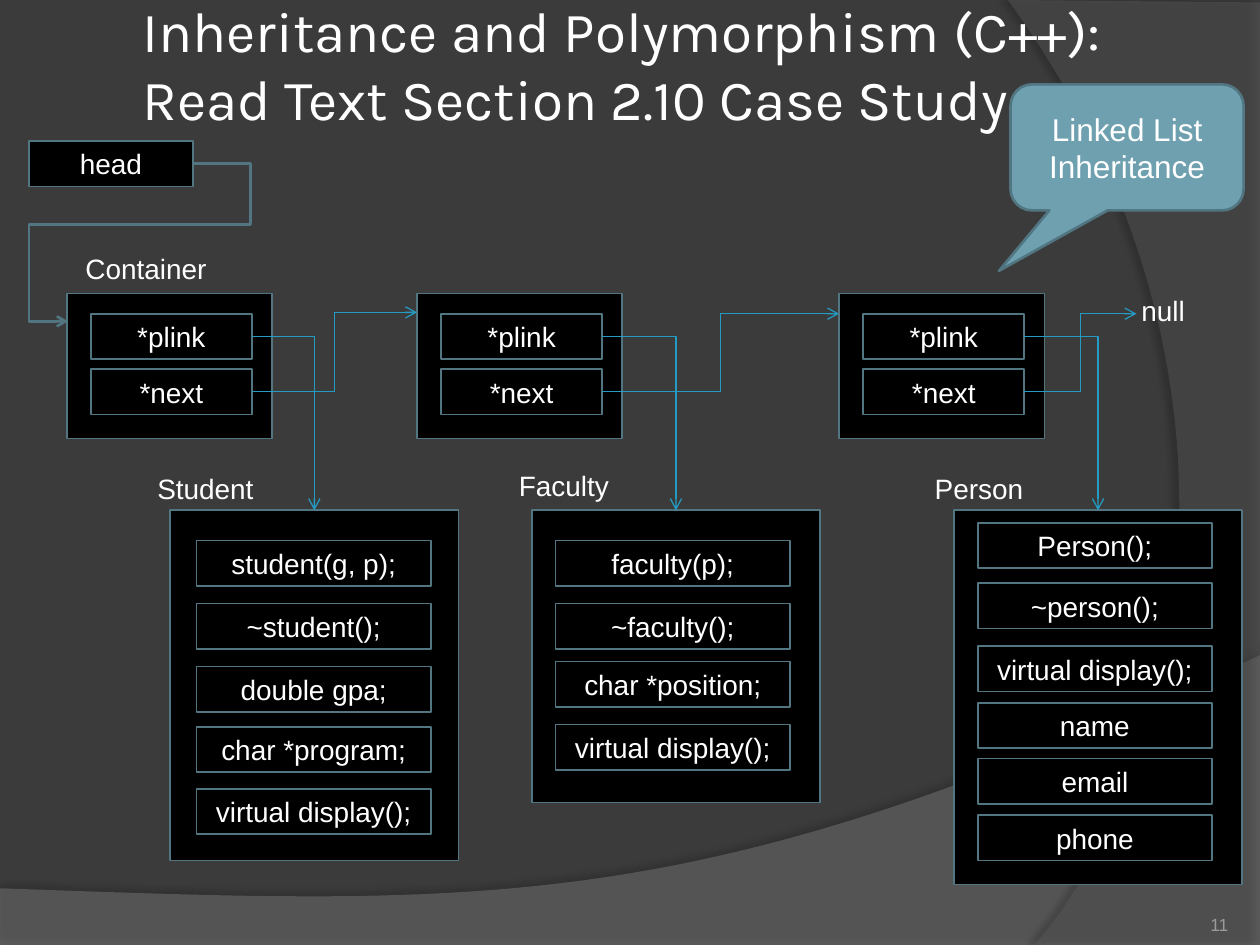
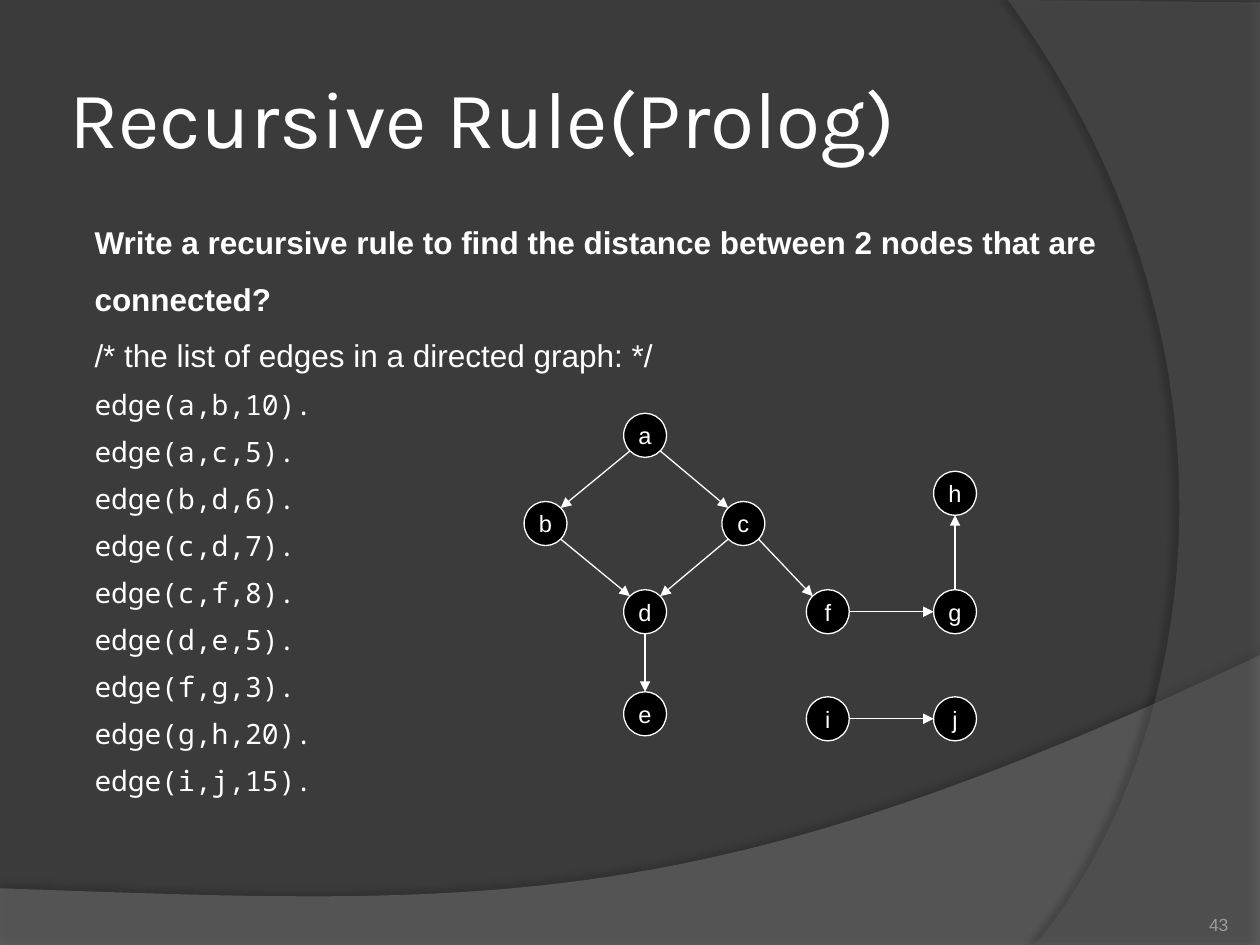
from math import sqrt

from lxml import etree
from pptx import Presentation
from pptx.dml.color import RGBColor
from pptx.enum.shapes import MSO_CONNECTOR as LINK, MSO_SHAPE as SHAPE
from pptx.enum.text import MSO_ANCHOR as ANCHOR, MSO_AUTO_SIZE as FIT, PP_ALIGN as ALIGN
from pptx.oxml.ns import qn
from pptx.util import Inches, Pt

WIDTH, HEIGHT = 10, 7.5
BACKDROP = RGBColor(0x3B, 0x3B, 0x3B)
HILL = RGBColor(0x7F, 0x7F, 0x7F)
ARC = RGBColor(0x5E, 0x5E, 0x5E)
BLACK = RGBColor(0x00, 0x00, 0x00)
WHITE = RGBColor(0xFF, 0xFF, 0xFF)
GREY = RGBColor(0x9D, 0x9B, 0x9A)
SLATE = RGBColor(0x51, 0x76, 0x82)
TEAL = RGBColor(0x6E, 0xA0, 0xB0)
CYAN = RGBColor(0x23, 0x9B, 0xC2)
TITLE_FONT, TEXT_FONT, CODE_FONT = "Karla", "Arial", "Noto Sans Mono"
TITLE_INSETS, NODE_INSETS = (0.05, 0.05), (0.08, 0.04)

# Linked list slide: lengths in inches
CASE_TITLE = ["Inheritance and Polymorphism (C++):", "Read Text Section 2.10 Case Study"]
CALLOUT = ["Linked List", "Inheritance"]
FIELD_HEIGHT = 0.36
CONTAINER_TOP, CONTAINER_SIZE = 2.33, (1.63, 1.15)
CONTAINER_LEFTS = [0.53, 3.31, 6.66]
POINTERS = [("*plink", 2.49), ("*next", 2.93)]
NEXT_TARGETS = [(3.31, 2.48), (6.66, 2.49), (9.02, 2.49)]
HEAD_ROUTE = [(1.53, 1.3), (1.99, 1.3), (1.99, 1.78), (0.23, 1.78), (0.23, 2.55), (0.54, 2.55)]
RECORD_TOP, RECORD_WIDTH = 4.05, 2.29
RECORDS = [
    dict(label="Student", label_box=(1.15, 3.69, 0.98, 0.37), left=1.35, height=2.78, inset=0.21,
         fields=[("student(g, p);", 4.29), ("~student();", 4.79), ("double gpa;", 5.29),
                 ("char *program;", 5.77), ("virtual display();", 6.26)]),
    dict(label="Faculty", label_box=(4.02, 3.67, 0.92, 0.37), left=4.22, height=2.32, inset=0.19,
         fields=[("faculty(p);", 4.29), ("~faculty();", 4.79), ("char *position;", 5.25),
                 ("virtual display();", 5.75)]),
    dict(label="Person", label_box=(7.32, 3.69, 0.91, 0.37), left=7.57, height=2.97, inset=0.19,
         fields=[("Person();", 4.15), ("~person();", 4.63), ("virtual display();", 5.13),
                 ("name", 5.58), ("email", 6.02), ("phone", 6.47)]),
]

# Graph slide
GRAPH_TITLE = ["Recursive Rule(Prolog)"]
QUESTION = "Write a recursive rule to find the distance between 2 nodes that are connected?"
REMARK = "/* the list of edges in a directed graph: */"
EDGES = [("a", "b", 10), ("a", "c", 5), ("b", "d", 6), ("c", "d", 7), ("c", "f", 8),
         ("d", "e", 5), ("f", "g", 3), ("g", "h", 20), ("i", "j", 15)]
NODE_SIZE = (0.34, 0.35)
NODES = {"a": (4.95, 3.28), "b": (4.16, 3.98), "c": (5.73, 3.98), "d": (4.95, 4.68),
         "e": (4.95, 5.49), "f": (6.4, 4.68), "g": (7.41, 4.68), "h": (7.41, 3.74),
         "i": (6.4, 5.53), "j": (7.41, 5.53)}


def inches(*lengths):
    return [Inches(length) for length in lengths]


def add_xml(parent, tag, **attributes):
    return etree.SubElement(parent, qn(tag), {k: str(v) for k, v in attributes.items()})


def write(frame, lines, size=16, font=TEXT_FONT, color=WHITE, bold=False, align=ALIGN.LEFT,
          anchor=ANCHOR.TOP, insets=(0.1, 0.05), wrap=True, fit=FIT.NONE, spacing=None):
    """Put each line in its own paragraph, all in one format."""
    frame.text = "\n".join(lines)
    frame.word_wrap, frame.auto_size, frame.vertical_anchor = wrap, fit, anchor
    frame.margin_left = frame.margin_right = Inches(insets[0])
    frame.margin_top = frame.margin_bottom = Inches(insets[1])
    for paragraph in frame.paragraphs:
        paragraph.alignment = align
        if spacing:
            paragraph.line_spacing = spacing
        style_runs(paragraph, size, font, color, bold)


def style_runs(paragraph, size, font, color, bold):
    for run in paragraph.runs:
        run.font.size, run.font.name, run.font.bold = Pt(size), font, bold
        run.font.color.rgb = color


def add_label(slide, box, text, **style):
    write(slide.shapes.add_textbox(*inches(*box)).text_frame, [text], **style)


def add_block(slide, box, lines=(), kind=SHAPE.RECTANGLE, fill=BLACK, line=SLATE, weight=1, **style):
    block = slide.shapes.add_shape(kind, *inches(*box))
    block.shadow.inherit = False
    block.fill.solid()
    block.fill.fore_color.rgb = fill
    block.line.color.rgb, block.line.width = line, Pt(weight)
    if lines:
        write(block.text_frame, lines, align=ALIGN.CENTER, anchor=ANCHOR.MIDDLE, **style)
    return block


def point_line(shape, color, weight, head):
    """Colour a line and end it with an arrowhead."""
    shape.line.color.rgb, shape.line.width = color, Pt(weight)
    add_xml(shape.element.spPr.find(qn("a:ln")), "a:tailEnd", type=head)


def add_arrow(slide, start, end, kind=LINK.STRAIGHT, color=WHITE, head="triangle"):
    arrow = slide.shapes.add_connector(kind, *inches(*start, *end))
    point_line(arrow, color, 0.75, head)
    add_xml(arrow.element.spPr, "a:effectLst")
    return arrow


def add_outline(slide, points, close):
    start, *rest = [inches(*point) for point in points]
    builder = slide.shapes.build_freeform(*start)
    builder.add_line_segments(rest, close=close)
    outline = builder.convert_to_shape()
    outline.shadow.inherit = False
    return outline


def bezier(p0, p1, p2, p3, steps=48):
    """Points along a cubic curve."""
    shares = [i / steps for i in range(steps + 1)]
    return [tuple((1 - t) ** 3 * a + 3 * (1 - t) ** 2 * t * b + 3 * (1 - t) * t ** 2 * c + t ** 3 * d
                  for a, b, c, d in zip(p0, p1, p2, p3)) for t in shares]


def add_band(master, slide, points, color, opacity, shade, distance, direction):
    """Draw a translucent band and move it behind everything on the master."""
    band = add_outline(slide, points, close=True)
    band.fill.solid()
    band.fill.fore_color.rgb = color
    band.line.fill.background()
    properties = band.element.spPr
    add_xml(properties.find(qn("a:solidFill"))[0], "a:alpha", val=opacity * 1000)
    shadow = add_xml(properties.find(qn("a:effectLst")), "a:outerShdw", blurRad=Pt(4),
                     dist=Pt(distance), dir=direction * 60000, algn="ctr", rotWithShape=0)
    add_xml(add_xml(shadow, "a:srgbClr", val=BLACK), "a:alpha", val=shade * 1000)
    master.shapes.element.insert(2, band.element)


def dress_master(master, slide):
    master.background.fill.solid()
    master.background.fill.fore_color.rgb = BACKDROP
    arc = bezier((8.21, HEIGHT), (9.35, 6.19), (10.18, 3), (8, 0))
    add_band(master, slide, [(WIDTH, 0.02), (WIDTH, HEIGHT), *arc], ARC, 40, 45, 4, 180)
    hill = bezier((WIDTH, 5.2), (5.59, 7.29), (3.91, 7.19), (0, 7.05))
    add_band(master, slide, [(0, HEIGHT), (WIDTH, HEIGHT), *hill], HILL, 45, 35, 3.5, 270)


def place(placeholder, box):
    placeholder.left, placeholder.top, placeholder.width, placeholder.height = inches(*box)
    return placeholder.text_frame


def add_frame(slide, title, box, size, number):
    """Set the title and the slide number."""
    write(place(slide.shapes.title, box), title, size=size, font=TITLE_FONT,
          anchor=ANCHOR.MIDDLE, insets=TITLE_INSETS)
    add_label(slide, (8.92, 7.02, 0.83, 0.4), number, size=10, color=GREY, align=ALIGN.RIGHT,
              anchor=ANCHOR.BOTTOM, insets=(0, 0))


def add_record(slide, record):
    left = record["left"]
    block = add_block(slide, (left, RECORD_TOP, RECORD_WIDTH, record["height"]))
    for field, top in record["fields"]:
        add_block(slide, (left + record["inset"], top, 1.86, FIELD_HEIGHT), [field])
    add_label(slide, record["label_box"], record["label"], wrap=False)
    return block


def add_container(slide, left, record, next_target):
    add_block(slide, (left, CONTAINER_TOP, *CONTAINER_SIZE))
    plink, following = [add_block(slide, (left + 0.19, top, 1.28, FIELD_HEIGHT), [text])
                        for text, top in POINTERS]
    elbow = dict(kind=LINK.ELBOW, color=CYAN, head="arrow")
    down = add_arrow(slide, (left, CONTAINER_TOP), (left, RECORD_TOP), **elbow)
    down.element.spPr.find(qn("a:prstGeom")).set("prst", "bentConnector2")
    down.begin_connect(plink, 3)
    down.end_connect(record, 0)
    across = add_arrow(slide, (left, CONTAINER_TOP), next_target, **elbow)
    across.begin_connect(following, 3)


def build_linked_list(slide):
    add_frame(slide, CASE_TITLE, (1.08, 0.08, 8.17, 0.85), 32.4, "11")
    for left, record, target in zip(CONTAINER_LEFTS, RECORDS, NEXT_TARGETS):
        add_container(slide, left, add_record(slide, record), target)
    add_label(slide, (0.58, 1.95, 1.17, 0.37), "Container", wrap=False)
    add_label(slide, (8.96, 2.28, 0.63, 0.42), "null", wrap=False)
    add_block(slide, (0.23, 1.12, 1.3, FIELD_HEIGHT), ["head"])
    route = add_outline(slide, HEAD_ROUTE, close=False)
    route.fill.background()
    point_line(route, SLATE, 1.5, "arrow")
    callout = add_block(slide, (8.02, 0.67, 1.85, 1), CALLOUT, size=18, fill=TEAL, weight=1.5,
                        kind=SHAPE.ROUNDED_RECTANGULAR_CALLOUT)
    for index, value in enumerate((-0.55, 0.98, 0.17)):
        callout.adjustments[index] = value


def add_edge(slide, source, target):
    """Join two nodes rim to rim, at the sides or the diagonals."""
    steps = [(b > a) - (b < a) for a, b in zip(NODES[source], NODES[target])]
    share = 1 / sqrt(2) if all(steps) else 1

    def rim(node, way):
        return [corner + size / 2 * (1 + way * share * step)
                for corner, size, step in zip(NODES[node], NODE_SIZE, steps)]

    add_arrow(slide, rim(source, 1), rim(target, -1))


def build_graph(slide):
    add_frame(slide, GRAPH_TITLE, (0.5, 0.3, 8.17, 1.25), 46, "43")
    facts = [f"edge({source},{target},{cost})." for source, target, cost in EDGES]
    body = place(slide.placeholders[1], (0.67, 1.58, 8.5, 4.84))
    write(body, [QUESTION, REMARK, *facts], font=CODE_FONT, insets=NODE_INSETS,
          fit=FIT.SHAPE_TO_FIT_TEXT, spacing=1.4)
    for paragraph, bold in zip(body.paragraphs, (True, False)):
        paragraph.line_spacing = 1.5
        style_runs(paragraph, 18, TEXT_FONT, WHITE, bold)
    for paragraph in body.paragraphs:
        paragraph.space_before = Pt(0)
        properties = paragraph.runs[0].font and paragraph._p.get_or_add_pPr()
        properties.set("marL", "0")
        properties.set("indent", "0")
        add_xml(properties, "a:buNone")
    for name, corner in NODES.items():
        add_block(slide, (*corner, *NODE_SIZE), [name], kind=SHAPE.OVAL, line=WHITE, weight=0.75,
                  size=13.5, insets=NODE_INSETS, wrap=False)
    for source, target, _ in EDGES:
        add_edge(slide, source, target)


def main():
    prs = Presentation()
    prs.slide_width, prs.slide_height = inches(WIDTH, HEIGHT)
    title_only, title_and_body = prs.slide_layouts[5], prs.slide_layouts[1]
    linked_list = prs.slides.add_slide(title_only)
    dress_master(prs.slide_master, linked_list)
    build_linked_list(linked_list)
    build_graph(prs.slides.add_slide(title_and_body))
    prs.save("out.pptx")


if __name__ == "__main__":
    main()
